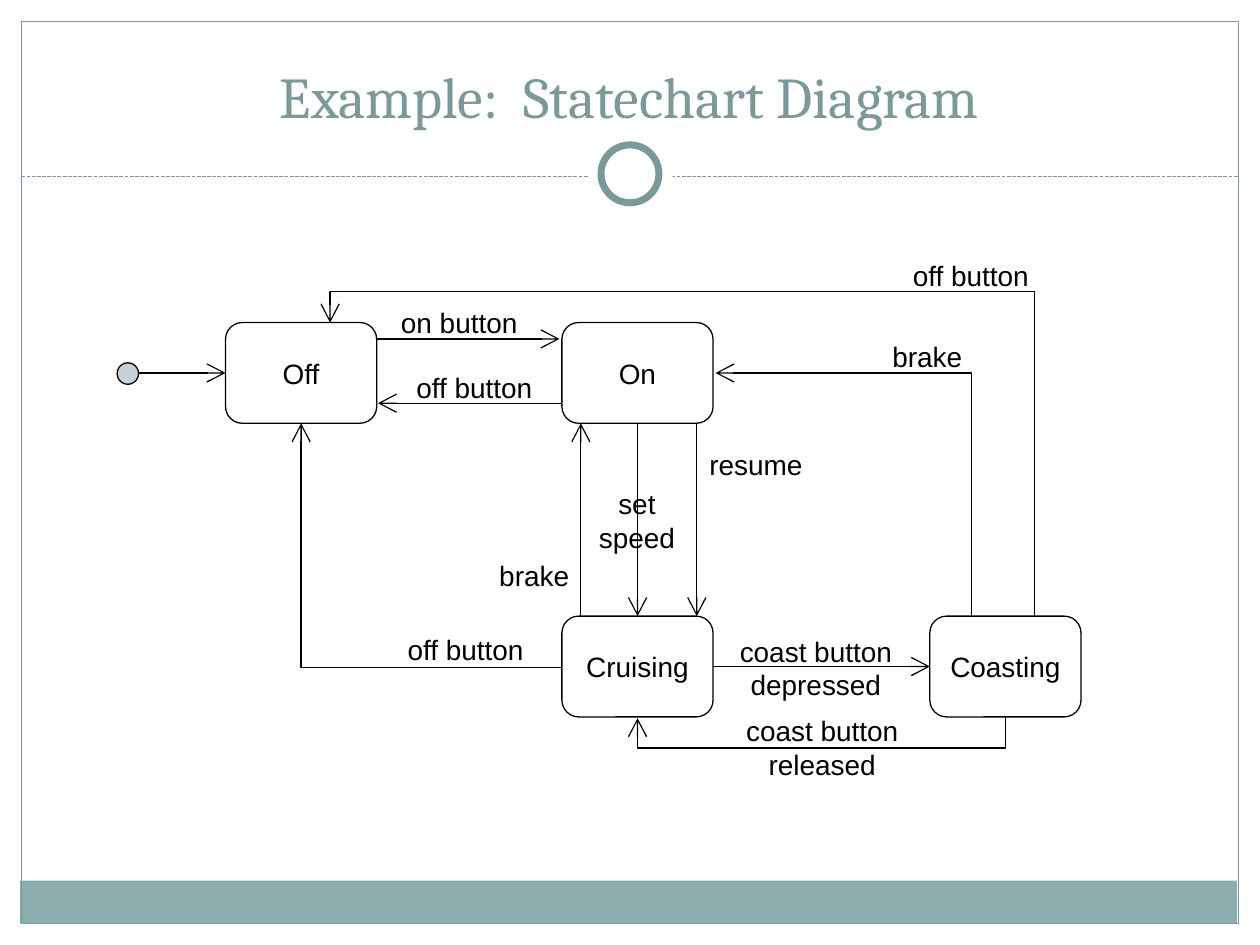
from lxml.etree import SubElement
from pptx import Presentation
from pptx.dml.color import RGBColor
from pptx.enum.dml import MSO_LINE
from pptx.enum.shapes import MSO_CONNECTOR, MSO_SHAPE
from pptx.enum.text import MSO_ANCHOR, MSO_AUTO_SIZE, PP_ALIGN
from pptx.oxml.ns import qn
from pptx.util import Inches, Pt

TITLE = "Example:  Statechart Diagram"
TEAL, BAND, WHITE, BLACK, START_FILL = "7C999A", "8CADAE", "FFFFFF", "000000", "C5D1D7"
TOP, LEFT, BOTTOM, RIGHT = range(4)

STATE_WIDTH, STATE_HEIGHT = 1.2, 0.8
STATES = {  # name: left, top
    "Off": (1.79, 2.56),
    "On": (4.46, 2.56),
    "Cruising": (4.46, 4.89),
    "Coasting": (7.38, 4.89),
}
JOINED_ARROWS = [  # from state, side, to state, side
    ("Cruising", RIGHT, "Coasting", LEFT),
    ("On", BOTTOM, "Cruising", TOP),
]
OFFSET_ARROWS = [  # start, end
    ((2.99, 2.69), (4.44, 2.69)),
    ((4.45, 3.2), (3, 3.2)),
    ((5.53, 3.36), (5.53, 4.89)),
    ((4.61, 4.89), (4.61, 3.36)),
]
ELBOW_ARROWS = [  # start, end, leaves vertically, distance to first turn of two
    ((7.98, 5.69), (5.06, 5.7), True, 0.25),
    ((7.71, 4.89), (5.68, 2.96), True, None),
    ((4.46, 5.3), (2.39, 3.36), False, None),
    ((8.21, 4.89), (2.62, 2.56), True, 2.58),
]
LABELS = [  # lines, left, top, width
    (["on button"], 3.08, 2.37, 1.13),
    (["off button"], 3.2, 2.89, 1.13),
    (["off button"], 7.14, 2, 1.13),
    (["off button"], 3.13, 4.97, 1.13),
    (["brake"], 3.86, 4.38, 0.76),
    (["set", "speed"], 4.65, 3.81, 0.81),
    (["resume"], 5.53, 3.5, 0.94),
    (["coast button", "depressed"], 5.77, 4.98, 1.41),
    (["coast button", "released"], 5.82, 5.61, 1.41),
    (["brake"], 6.98, 2.64, 0.76),
]


def color(hex_string):
    return RGBColor.from_string(hex_string)


def add_shape(slide, kind, box, fill=None, line=None, width=0.75):
    shape = slide.shapes.add_shape(kind, *map(Inches, box))
    shape.shadow.inherit = False
    if fill:
        shape.fill.solid()
        shape.fill.fore_color.rgb = color(fill)
    else:
        shape.fill.background()
    if line:
        shape.line.color.rgb = color(line)
        shape.line.width = Pt(width)
    else:
        shape.line.fill.background()
    return shape


def write(frame, lines, size=16, font="Arial", text_color=BLACK):
    for index, line in enumerate(lines):
        paragraph = frame.paragraphs[0] if index == 0 else frame.add_paragraph()
        paragraph.text = line
        paragraph.alignment = PP_ALIGN.CENTER
        paragraph.font.size = Pt(size)
        paragraph.font.name = font
        paragraph.font.color.rgb = color(text_color)


def add_line(slide, start, end, line=BLACK, kind=MSO_CONNECTOR.STRAIGHT, arrow=True):
    connector = slide.shapes.add_connector(kind, *map(Inches, start + end))
    connector.line.color.rgb = color(line)
    connector.line.width = Pt(0.75)
    if arrow:
        SubElement(connector.line._get_or_add_ln(), qn("a:tailEnd"),
                   type="arrow", w="lg", len="lg")
    SubElement(connector._element.spPr, qn("a:effectLst"))
    return connector


def add_elbow(slide, start, end, vertical, turn):
    """Add a bent arrow running leftwards, with one bend or with two when turn is set."""
    connector = add_line(slide, start, end, kind=MSO_CONNECTOR.ELBOW)
    width, height = abs(end[0] - start[0]), abs(end[1] - start[1])
    if vertical:
        width, height = height, width
    middle_x, middle_y = (start[0] + end[0]) / 2, (start[1] + end[1]) / 2
    connector.left, connector.top = Inches(middle_x - width / 2), Inches(middle_y - height / 2)
    connector.width, connector.height = Inches(width), Inches(height)

    transform = connector._element.spPr.find(qn("a:xfrm"))
    for flip in ("flipH", "flipV"):
        transform.attrib.pop(flip, None)
    transform.set("rot", str((90 if vertical else 180) * 60000))
    if vertical and end[1] < start[1]:
        transform.set("flipH", "1")

    geometry = connector._element.spPr.find(qn("a:prstGeom"))
    geometry.set("prst", "bentConnector3" if turn else "bentConnector2")
    if turn:
        SubElement(geometry.find(qn("a:avLst")), qn("a:gd"), name="adj1",
                   fmla=f"val {round(turn / width * 100000)}")


def add_frame(slide):
    add_shape(slide, MSO_SHAPE.RECTANGLE, (0.16, 6.99, 9.66, 0.34), BAND)
    add_shape(slide, MSO_SHAPE.RECTANGLE, (0.17, 0.17, 9.66, 7.16), line=TEAL)
    divider = add_line(slide, (0.17, 1.4), (9.83, 1.4), TEAL, arrow=False)
    divider.line.dash_style = MSO_LINE.SQUARE_DOT
    add_shape(slide, MSO_SHAPE.OVAL, (4.67, 1.05, 0.67, 0.67), WHITE)
    add_shape(slide, MSO_SHAPE.OVAL, (4.77, 1.15, 0.46, 0.46), WHITE, TEAL, 4)


def add_title(slide):
    title = slide.shapes.title
    title.left, title.top, title.width, title.height = map(Inches, (0.33, 0.25, 9.33, 0.83))
    title.text_frame.vertical_anchor = MSO_ANCHOR.BOTTOM
    title.text_frame.auto_size = MSO_AUTO_SIZE.NONE
    write(title.text_frame, [TITLE], 33, "Cambria", TEAL)


def add_state(slide, name, left, top):
    state = add_shape(slide, MSO_SHAPE.ROUNDED_RECTANGLE,
                      (left, top, STATE_WIDTH, STATE_HEIGHT), line=BLACK)
    state.adjustments[0] = 0.167
    state.text_frame.word_wrap = False
    state.text_frame.vertical_anchor = MSO_ANCHOR.MIDDLE
    write(state.text_frame, [name])
    return state


def add_label(slide, lines, left, top, width):
    height = 0.1 + 0.27 * len(lines)
    label = slide.shapes.add_textbox(*map(Inches, (left, top, width, height)))
    label.text_frame.word_wrap = False
    label.text_frame.auto_size = MSO_AUTO_SIZE.SHAPE_TO_FIT_TEXT
    label.text_frame.vertical_anchor = MSO_ANCHOR.MIDDLE
    write(label.text_frame, lines)


def main():
    presentation = Presentation()
    presentation.slide_width, presentation.slide_height = Inches(10), Inches(7.5)
    slide = presentation.slides.add_slide(presentation.slide_layouts[5])
    add_frame(slide)
    add_title(slide)

    states = {name: add_state(slide, name, *place) for name, place in STATES.items()}
    for source, source_side, target, target_side in JOINED_ARROWS:
        arrow = add_line(slide, (0, 0), (1, 1))
        arrow.begin_connect(states[source], source_side)
        arrow.end_connect(states[target], target_side)
    for start, end in OFFSET_ARROWS:
        add_line(slide, start, end)
    for elbow in ELBOW_ARROWS:
        add_elbow(slide, *elbow)
    for label in LABELS:
        add_label(slide, *label)

    add_shape(slide, MSO_SHAPE.OVAL, (0.93, 2.88, 0.17, 0.17), START_FILL, BLACK)
    start_arrow = add_line(slide, (1.1, 2.96), (1.79, 2.96))
    start_arrow.end_connect(states["Off"], LEFT)
    presentation.save("out.pptx")


if __name__ == "__main__":
    main()
